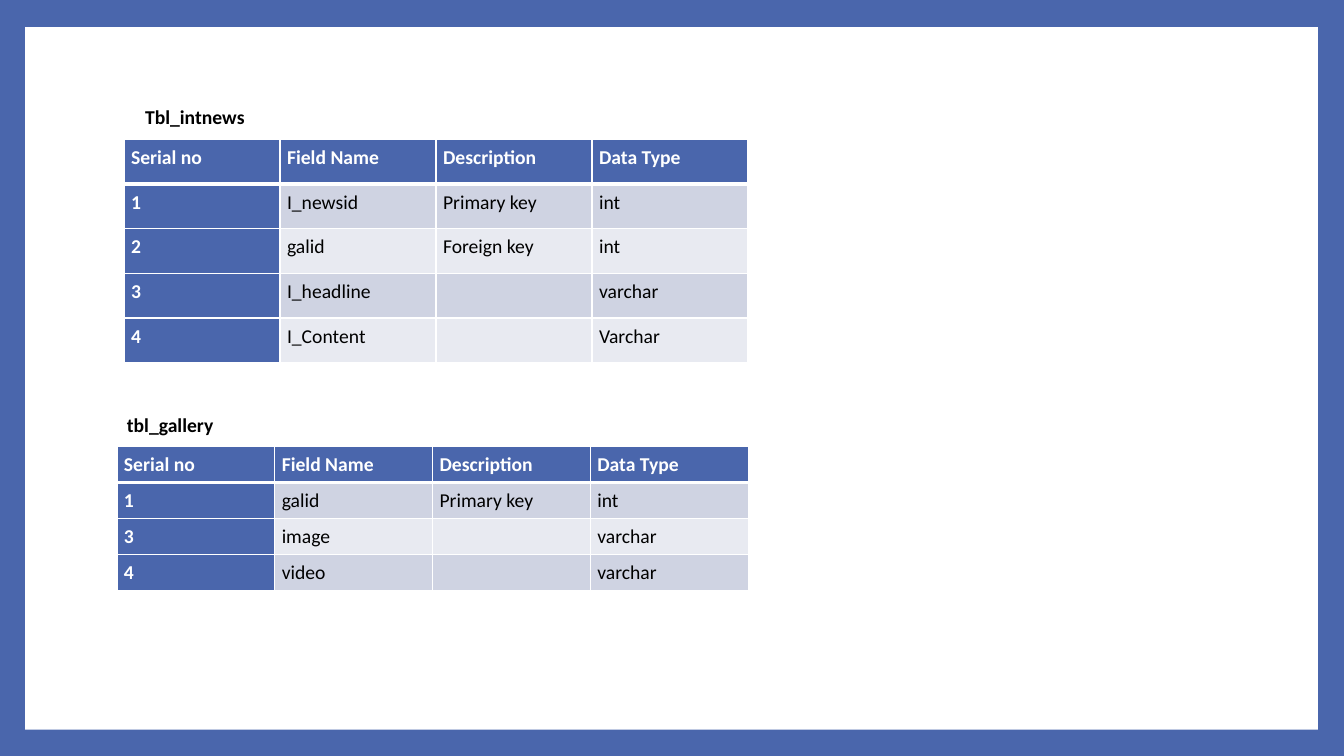
from dataclasses import dataclass

from lxml.etree import SubElement
from pptx import Presentation
from pptx.dml.color import RGBColor
from pptx.enum.shapes import MSO_SHAPE
from pptx.enum.text import MSO_ANCHOR
from pptx.oxml.ns import qn
from pptx.util import Inches, Pt


@dataclass(frozen=True)
class Theme:
    blue: str = "4A66AC"
    white: str = "FFFFFF"
    black: str = "000000"
    bands: tuple = ("CFD3E2", "E8EAF1")
    face: str = "Calibri"
    size: int = 14
    thin: float = 0.96
    thick: float = 3


THEME = Theme()
HEAD = ["Serial no", "Field Name", "Description", "Data Type"]
NEWS = [
    HEAD,
    ["1", "I_newsid", "Primary key", "int"],
    ["2", "galid", "Foreign key", "int"],
    ["3", "I_headline", "", "varchar"],
    ["4", "I_Content", "", "Varchar"],
]
GALLERY = [
    HEAD,
    ["1", "galid", "Primary key", "int"],
    ["3", "image", "", "varchar"],
    ["4", "video", "", "varchar"],
]


def paint(fill, color):
    fill.solid()
    fill.fore_color.rgb = RGBColor.from_string(color)


def write(para, text, color, bold):
    if not text:
        # Keeps an empty cell from growing to the default type size
        SubElement(para._p, qn("a:endParaRPr"), sz=str(THEME.size * 100))
        return
    run = para.add_run()
    run.text = text
    look = {"name": THEME.face, "size": Pt(THEME.size), "bold": bold}
    for key, value in look.items():
        setattr(run.font, key, value)
    run.font.color.rgb = RGBColor.from_string(color)


def edge(cell, widths):
    """Draw white cell borders; widths maps side tags to points."""
    props = cell._tc.get_or_add_tcPr()
    for side, width in widths.items():
        line = SubElement(props, qn(f"a:{side}"), w=str(Pt(width)))
        fill = SubElement(line, qn("a:solidFill"))
        SubElement(fill, qn("a:srgbClr"), val=THEME.white)


def add_frame(slide, box):
    paint(slide.background.fill, THEME.blue)
    panel = slide.shapes.add_shape(MSO_SHAPE.RECTANGLE, *map(Inches, box))
    panel.shadow.inherit = False
    paint(panel.fill, THEME.white)
    panel.line.fill.background()


def add_title(slide, box, text):
    frame = slide.shapes.add_textbox(*map(Inches, box)).text_frame
    frame.word_wrap = True
    frame.vertical_anchor = MSO_ANCHOR.MIDDLE
    write(frame.paragraphs[0], text, THEME.black, True)


def fill_cell(cell, text, row, col):
    top = THEME.thick if row == 1 else THEME.thin
    base = THEME.thick if row == 0 else THEME.thin
    edge(cell, {"lnL": THEME.thin, "lnR": THEME.thin, "lnT": top, "lnB": base})
    key = row == 0 or col == 0
    paint(cell.fill, THEME.blue if key else THEME.bands[(row - 1) % 2])
    pads = {
        "margin_left": 0.07,
        "margin_right": 0.07,
        "margin_top": 0.05,
        "margin_bottom": 0.05,
    }
    for name, pad in pads.items():
        setattr(cell, name, Inches(pad))
    para = cell.text_frame.paragraphs[0]
    para.line_spacing = 1.07
    write(para, text, THEME.white if key else THEME.black, key)


def add_grid(slide, box, rows):
    shape = slide.shapes.add_table(len(rows), len(HEAD), *map(Inches, box))
    grid = shape.table
    grid.first_col = True
    for r, row in enumerate(rows):
        for c, text in enumerate(row):
            fill_cell(grid.cell(r, c), text, r, c)


def add_schema(slide, box, title, rows, shift, wide):
    """Place a titled table in box; shift and wide set the title's offset and width."""
    left, top, width, height = box
    add_title(slide, (left + shift, top - 0.385, wide, 0.33), title)
    add_grid(slide, box, rows)


def main():
    deck = Presentation()
    deck.slide_width, deck.slide_height = Inches(13.33), Inches(7.5)
    slide = deck.slides.add_slide(deck.slide_layouts[6])
    add_frame(slide, (0.25, 0.27, 12.82, 6.97))
    add_schema(slide, (1.16, 4.43, 6.26, 1.43), "tbl_gallery", GALLERY, 0, 2.82)
    add_schema(slide, (1.23, 1.38, 6.19, 2.22), "Tbl_intnews", NEWS, 0.11, 3.75)
    deck.save("out.pptx")


if __name__ == "__main__":
    main()
